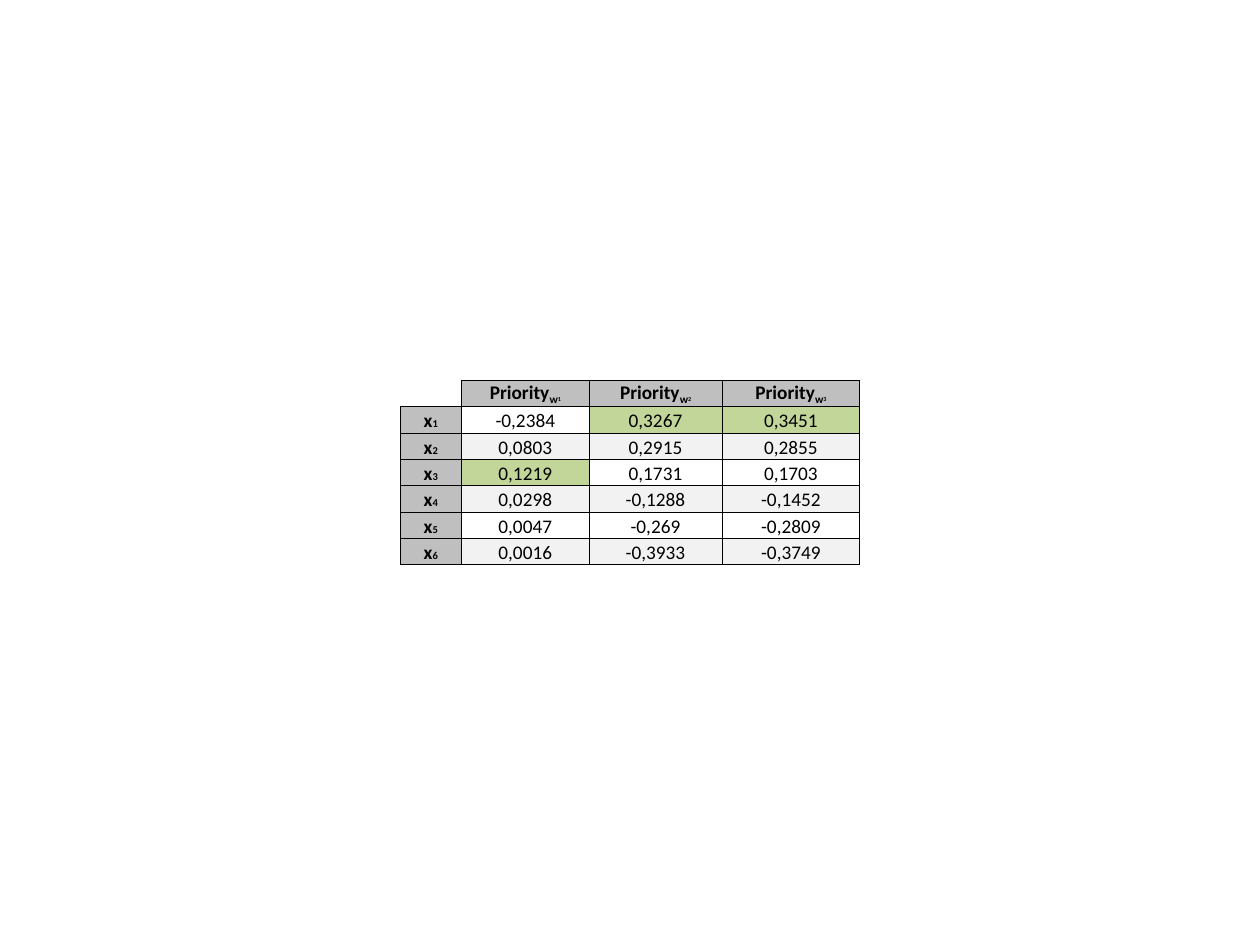
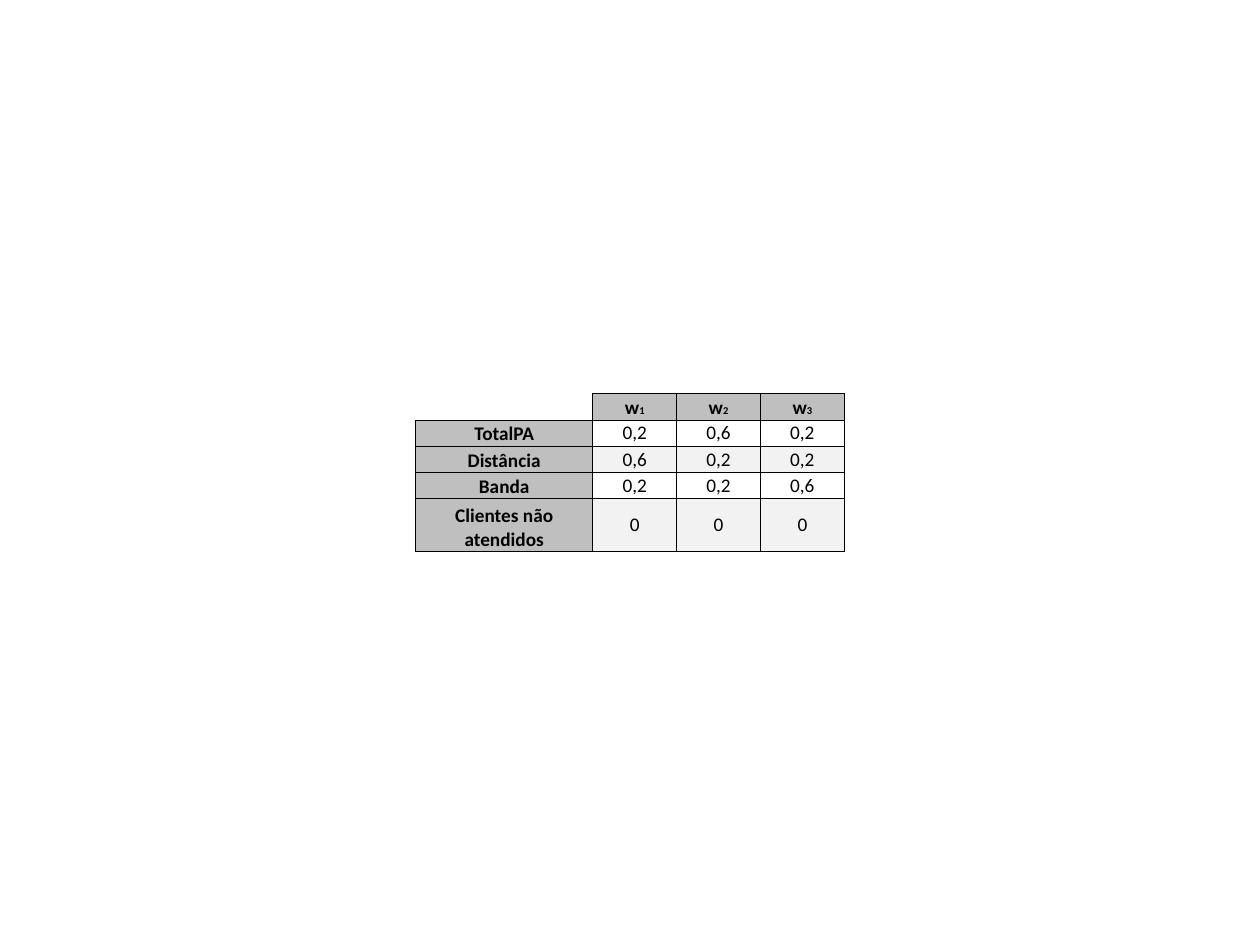
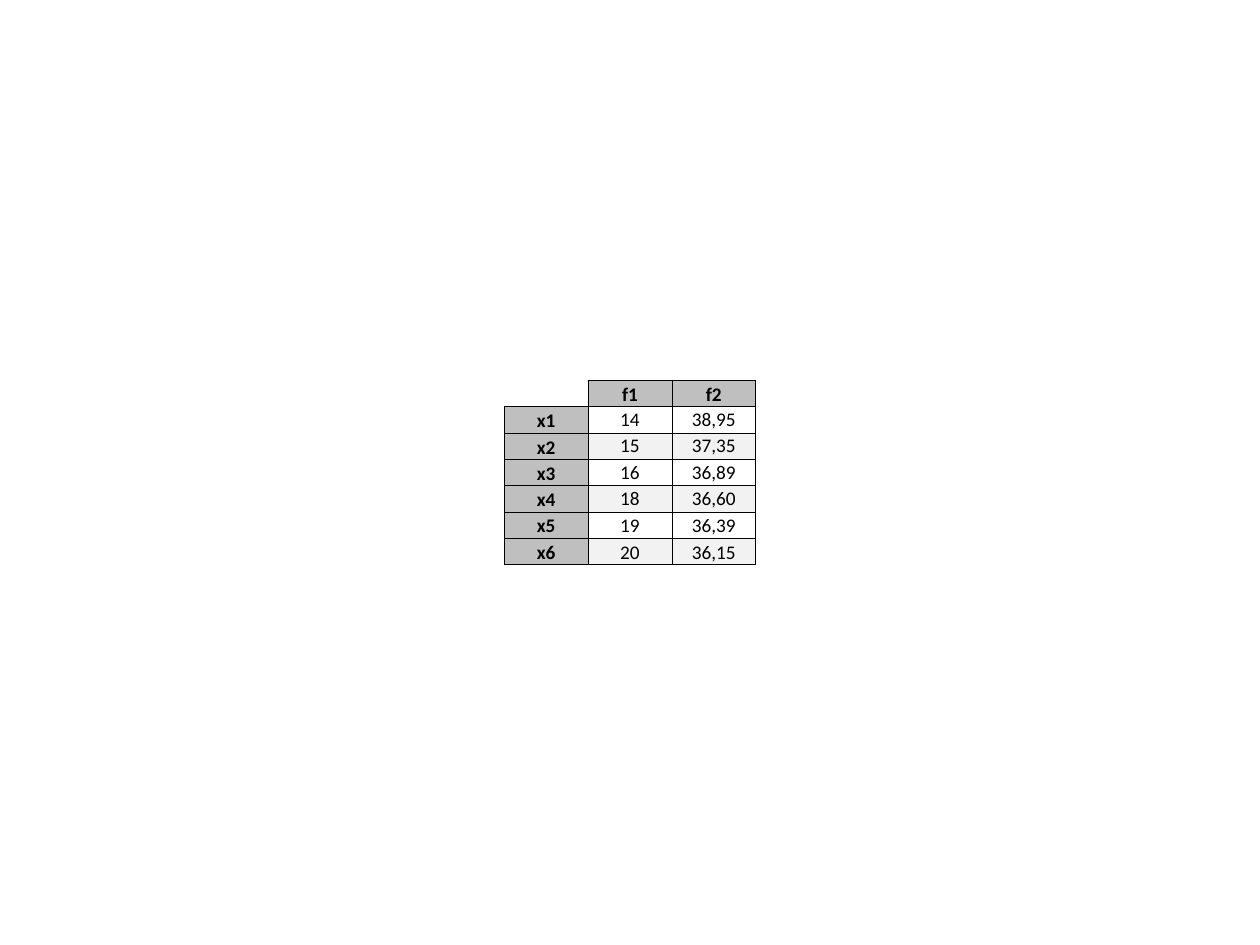
"""Build three slides, each with one centred table of results."""
from dataclasses import dataclass

import pptx
import pptx.dml.color
import pptx.enum.text
import pptx.oxml
import pptx.oxml.ns
import pptx.slide
import pptx.table
import pptx.util

FONT = "Calibri"
BLACK = "000000"
WHITE = "FFFFFF"
HEADER_GRAY = "BFBFBF"
BAND_GRAY = "F2F2F2"
BEST_GREEN = "C2D69A"
TEXT_SIZE = 11
INDEX_SIZE = 6
BORDER_POINTS = 0.5
ROW_HEIGHT = 0.53
VALUE_WIDTH = 1.69
SIDES = ("L", "R", "T", "B")


@dataclass(frozen=True)
class TextRun:
    text: str
    size: int = TEXT_SIZE
    baseline: int = 0


Label = tuple[TextRun, ...]


@dataclass(frozen=True)
class ResultTable:
    column_widths: tuple[float, ...]
    headers: tuple[Label, ...]
    row_labels: tuple[Label, ...]
    values: tuple[tuple[str, ...], ...]
    row_lines: tuple[int, ...]
    middle_rows: int = 0
    best_cells: frozenset[tuple[int, int]] = frozenset()


def plain(text: str) -> Label:
    return (TextRun(text),)


def indexed(name: str, index: int) -> Label:
    return TextRun(name), TextRun(str(index), INDEX_SIZE)


def priority(index: int) -> Label:
    return (
        TextRun("Priority"),
        TextRun("w", baseline=-25),
        TextRun(str(index), INDEX_SIZE, -25),
    )


def rgb(color: str) -> pptx.dml.color.RGBColor:
    return pptx.dml.color.RGBColor.from_string(color)


def set_borders(cell: pptx.table._Cell, visible: tuple[str, ...]) -> None:
    properties = cell._tc.get_or_add_tcPr()
    namespace = pptx.oxml.ns.nsdecls("a")
    width = int(pptx.util.Pt(BORDER_POINTS))
    for side in SIDES:
        paint = "<a:noFill/>"
        if side in visible:
            paint = f'<a:solidFill><a:srgbClr val="{BLACK}"/></a:solidFill>'
        properties.append(pptx.oxml.parse_xml(
            f'<a:ln{side} {namespace} w="{width}">{paint}</a:ln{side}>'
        ))


def format_cell(
    cell: pptx.table._Cell,
    fill: str | None,
    anchor: pptx.enum.text.MSO_ANCHOR = pptx.enum.text.MSO_ANCHOR.BOTTOM,
    borders: tuple[str, ...] = SIDES,
) -> None:
    set_borders(cell, borders)
    if fill is None:
        cell.fill.background()
    else:
        cell.fill.solid()
        cell.fill.fore_color.rgb = rgb(fill)
    cell.margin_left = cell.margin_right = 0
    cell.margin_top = cell.margin_bottom = 0
    cell.vertical_anchor = anchor


def write_label(cell: pptx.table._Cell, label: Label, bold: bool) -> None:
    paragraph = cell.text_frame.paragraphs[0]
    paragraph.alignment = pptx.enum.text.PP_ALIGN.CENTER
    for part in label:
        run = paragraph.add_run()
        run.text = part.text
        run.font.name = FONT
        run.font.size = pptx.util.Pt(part.size)
        run.font.bold = bold
        run.font.color.rgb = rgb(BLACK)
        if part.baseline:
            run._r.get_or_add_rPr().set("baseline", str(part.baseline * 1000))


def format_corner(cell: pptx.table._Cell) -> None:
    format_cell(cell, WHITE, borders=("R", "B"))
    paragraph = cell.text_frame.paragraphs[0]
    paragraph._p.append(pptx.oxml.parse_xml(
        f'<a:endParaRPr {pptx.oxml.ns.nsdecls("a")} sz="{TEXT_SIZE * 100}"/>'
    ))


def value_fill(result: ResultTable, row: int, column: int) -> str | None:
    if (row, column) in result.best_cells:
        return BEST_GREEN
    return BAND_GRAY if row % 2 == 0 else None


def draw_table(
    slide: pptx.slide.Slide, result: ResultTable, slide_width: int, slide_height: int
) -> None:
    heights = [pptx.util.Cm(ROW_HEIGHT * lines) for lines in result.row_lines]
    widths = [pptx.util.Cm(width) for width in result.column_widths]
    width, height = sum(widths), sum(heights)
    shape = slide.shapes.add_table(
        len(heights), len(widths),
        (slide_width - width) // 2, (slide_height - height) // 2, width, height,
    )
    table = shape.table
    table.first_row = table.horz_banding = False
    for column, column_width in zip(table.columns, widths):
        column.width = column_width
    for row, row_height in zip(table.rows, heights):
        row.height = row_height

    format_corner(table.cell(0, 0))
    for column_index, header in enumerate(result.headers, 1):
        cell = table.cell(0, column_index)
        format_cell(cell, HEADER_GRAY)
        write_label(cell, header, bold=True)
    for row_index, (label, values) in enumerate(zip(result.row_labels, result.values), 1):
        cell = table.cell(row_index, 0)
        format_cell(cell, HEADER_GRAY)
        write_label(cell, label, bold=True)
        anchor = pptx.enum.text.MSO_ANCHOR.BOTTOM
        if row_index <= result.middle_rows:
            anchor = pptx.enum.text.MSO_ANCHOR.MIDDLE
        for column_index, value in enumerate(values, 1):
            cell = table.cell(row_index, column_index)
            format_cell(cell, value_fill(result, row_index, column_index), anchor)
            write_label(cell, plain(value), bold=False)


PRIORITIES = ResultTable(
    column_widths=(1.24, 2.57, 2.68, 2.78),
    headers=tuple(priority(index) for index in range(1, 4)),
    row_labels=tuple(indexed("x", index) for index in range(1, 7)),
    values=(
        ("-0,2384", "0,3267", "0,3451"),
        ("0,0803", "0,2915", "0,2855"),
        ("0,1219", "0,1731", "0,1703"),
        ("0,0298", "-0,1288", "-0,1452"),
        ("0,0047", "-0,269", "-0,2809"),
        ("0,0016", "-0,3933", "-0,3749"),
    ),
    row_lines=(1,) * 7,
    best_cells=frozenset({(1, 2), (1, 3), (3, 1)}),
)

WEIGHTS = ResultTable(
    column_widths=(3.57,) + (VALUE_WIDTH,) * 3,
    headers=tuple(indexed("w", index) for index in range(1, 4)),
    row_labels=tuple(
        plain(name)
        for name in ("TotalPA", "Distância", "Banda", "Clientes não atendidos")
    ),
    values=(
        ("0,2", "0,6", "0,2"),
        ("0,6", "0,2", "0,2"),
        ("0,2", "0,2", "0,6"),
        ("0", "0", "0"),
    ),
    row_lines=(1, 1, 1, 1, 2),
    middle_rows=4,
)

OBJECTIVES = ResultTable(
    column_widths=(VALUE_WIDTH,) * 3,
    headers=(plain("f1"), plain("f2")),
    row_labels=tuple(plain(f"x{index}") for index in range(1, 7)),
    values=(
        ("14", "38,95"),
        ("15", "37,35"),
        ("16", "36,89"),
        ("18", "36,60"),
        ("19", "36,39"),
        ("20", "36,15"),
    ),
    row_lines=(1,) * 7,
    middle_rows=4,
)


def main() -> None:
    presentation = pptx.Presentation()
    presentation.slide_width = pptx.util.Cm(25.4)
    presentation.slide_height = pptx.util.Cm(19.05)
    blank_layout = presentation.slide_layouts.get_by_name("Blank")
    for result in (PRIORITIES, WEIGHTS, OBJECTIVES):
        slide = presentation.slides.add_slide(blank_layout)
        draw_table(slide, result, presentation.slide_width, presentation.slide_height)
    presentation.save("out.pptx")


main()
